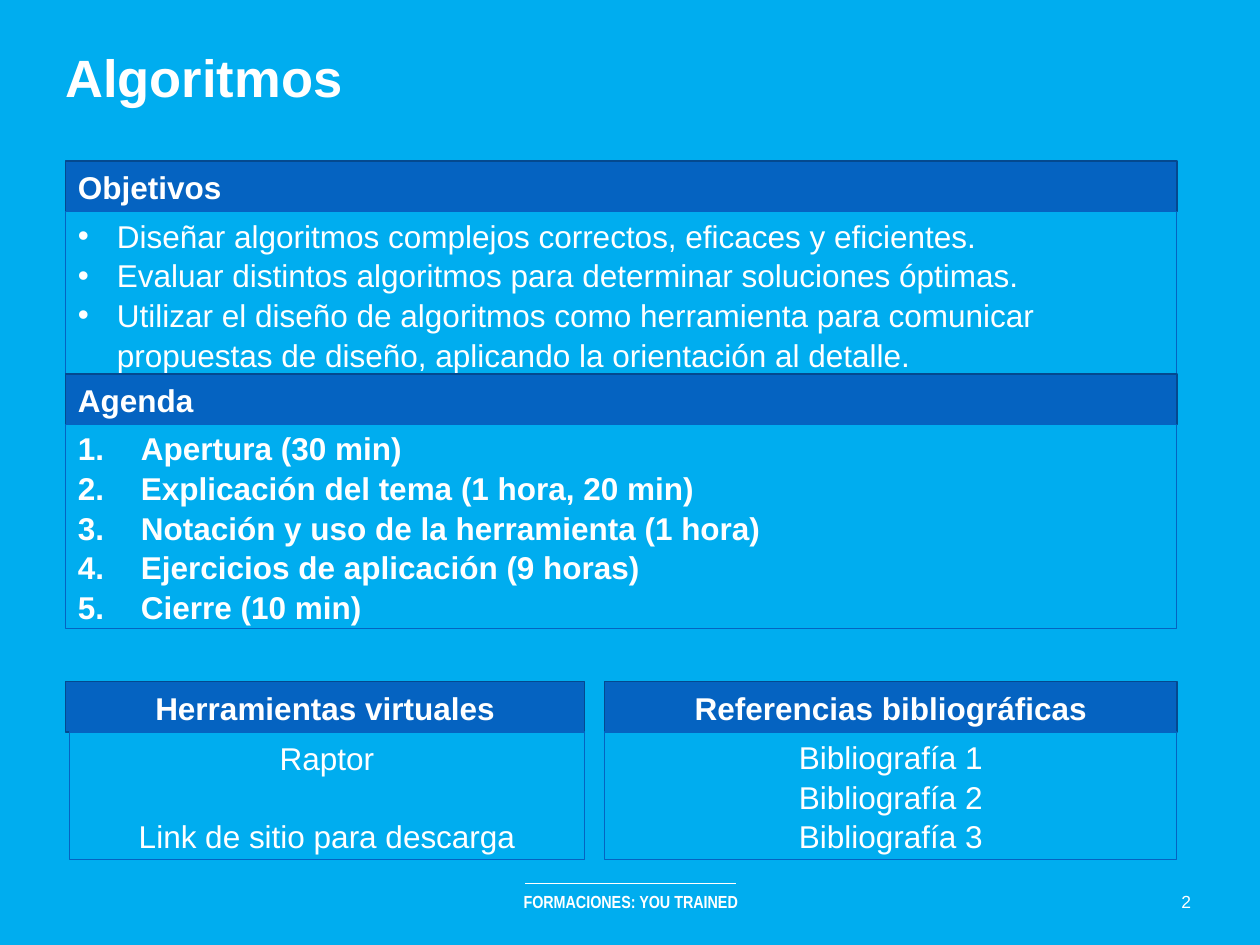
from lxml.etree import SubElement
from pptx import Presentation
from pptx.dml.color import RGBColor
from pptx.enum.shapes import MSO_CONNECTOR, MSO_SHAPE
from pptx.enum.text import MSO_ANCHOR, PP_ALIGN
from pptx.oxml.ns import qn
from pptx.util import Inches, Pt

SKY = RGBColor(0x00, 0xAD, 0xEF)
BLUE = RGBColor(0x05, 0x63, 0xC1)
NAVY = RGBColor(0x04, 0x49, 0x8F)
WHITE = RGBColor(0xFF, 0xFF, 0xFF)

LEFT = 0.52
FULL_WIDTH = 8.82
HEADING_HEIGHT = 0.4

BULLET = ("buChar", {"char": "•"}, 0.31)
NUMBER = ("buAutoNum", {"type": "arabicPeriod"}, 0.5)


def format_paragraph(paragraph, size, bold=False, align=PP_ALIGN.LEFT, face="Arial"):
    paragraph.alignment = align
    paragraph.font.name = face
    paragraph.font.size = Pt(size)
    paragraph.font.bold = bold
    paragraph.font.color.rgb = WHITE


def add_list_marker(paragraph, marker):
    tag, attributes, indent = marker
    properties = paragraph._p.get_or_add_pPr()
    properties.set("marL", str(Inches(indent)))
    properties.set("indent", str(-Inches(indent)))
    if tag == "buChar":
        SubElement(properties, qn("a:buFont"), {"typeface": "Arial"})
    SubElement(properties, qn(f"a:{tag}"), attributes)


def add_panel(slide, left, top, width, height, lines, align,
              heading=False, bold=False, marker=None):
    panel = slide.shapes.add_shape(
        MSO_SHAPE.RECTANGLE, Inches(left), Inches(top), Inches(width), Inches(height))
    panel.shadow.inherit = False
    if heading:
        panel.fill.solid()
        panel.fill.fore_color.rgb = BLUE
    else:
        panel.fill.background()
    panel.line.color.rgb = NAVY if heading else BLUE
    panel.line.width = Pt(0.85 if heading else 0.75)
    frame = panel.text_frame
    frame.word_wrap = True
    frame.vertical_anchor = MSO_ANCHOR.MIDDLE
    frame.text = "\n".join(lines)
    for paragraph in frame.paragraphs:
        paragraph.line_spacing = 1.05
        if marker:
            add_list_marker(paragraph, marker)
        format_paragraph(paragraph, 18, bold, align)
    return panel


def add_section(slide, left, top, width, heading, lines, height,
                align=PP_ALIGN.LEFT, bold=False, marker=None, inset=0):
    add_panel(slide, left, top, width, HEADING_HEIGHT, [heading], align,
              heading=True, bold=True)
    return add_panel(slide, left + inset, top + HEADING_HEIGHT, width - inset, height,
                     lines, align, bold=bold, marker=marker)


def add_title(slide, text):
    title = slide.shapes.title
    title.left, title.top = Inches(LEFT), Inches(0.3)
    title.width, title.height = Inches(7.08), Inches(0.61)
    frame = title.text_frame
    frame.margin_left = frame.margin_right = 0
    frame.vertical_anchor = MSO_ANCHOR.MIDDLE
    frame.text = text
    format_paragraph(frame.paragraphs[0], 30, bold=True)


def add_footer_text(slide, left, width, text, bold, face):
    box = slide.shapes.add_textbox(Inches(left), Inches(7.02), Inches(width), Inches(0.27))
    box.text_frame.word_wrap = True
    box.text_frame.text = text
    format_paragraph(box.text_frame.paragraphs[0], 10, bold, PP_ALIGN.CENTER, face)


def add_footer(slide):
    add_footer_text(slide, 3.67, 2.67, "FORMACIONES: YOU TRAINED", True, "Arial Narrow")
    rule = slide.shapes.add_connector(
        MSO_CONNECTOR.STRAIGHT, Inches(4.17), Inches(7.01), Inches(5.84), Inches(7.01))
    rule.line.color.rgb = WHITE
    rule.line.width = Pt(0.5)
    SubElement(rule._element.spPr, qn("a:effectLst"))
    add_footer_text(slide, 9.23, 0.37, "2", False, "Arial")


def main():
    presentation = Presentation()
    presentation.slide_width, presentation.slide_height = Inches(10), Inches(7.5)
    slide = presentation.slides.add_slide(presentation.slide_layouts[5])
    slide.background.fill.solid()
    slide.background.fill.fore_color.rgb = SKY

    add_footer(slide)
    add_title(slide, "Algoritmos")
    add_section(slide, LEFT, 1.28, FULL_WIDTH, "Objetivos", [
        "Diseñar algoritmos complejos correctos, eficaces y eficientes.",
        "Evaluar distintos algoritmos para determinar soluciones óptimas.",
        "Utilizar el diseño de algoritmos como herramienta para comunicar "
        "propuestas de diseño, aplicando la orientación al detalle.",
    ], 1.31, marker=BULLET)
    add_section(slide, LEFT, 2.97, FULL_WIDTH, "Agenda", [
        "Apertura (30 min)",
        "Explicación del tema (1 hora, 20 min)",
        "Notación y uso de la herramienta (1 hora)",
        "Ejercicios de aplicación (9 horas)",
        "Cierre (10 min)",
    ], 1.62, bold=True, marker=NUMBER)
    tools = add_section(slide, LEFT, 5.41, 4.12, "Herramientas virtuales",
                        ["Raptor", "Link de sitio para descarga"], 1.01,
                        PP_ALIGN.CENTER, inset=0.03)
    tools.text_frame.paragraphs[1].space_before = Pt(21.7)
    add_section(slide, 4.8, 5.41, 4.54, "Referencias bibliográficas",
                [f"Bibliografía {number}" for number in range(1, 4)], 1.01,
                PP_ALIGN.CENTER)

    presentation.save("out.pptx")


if __name__ == "__main__":
    main()
